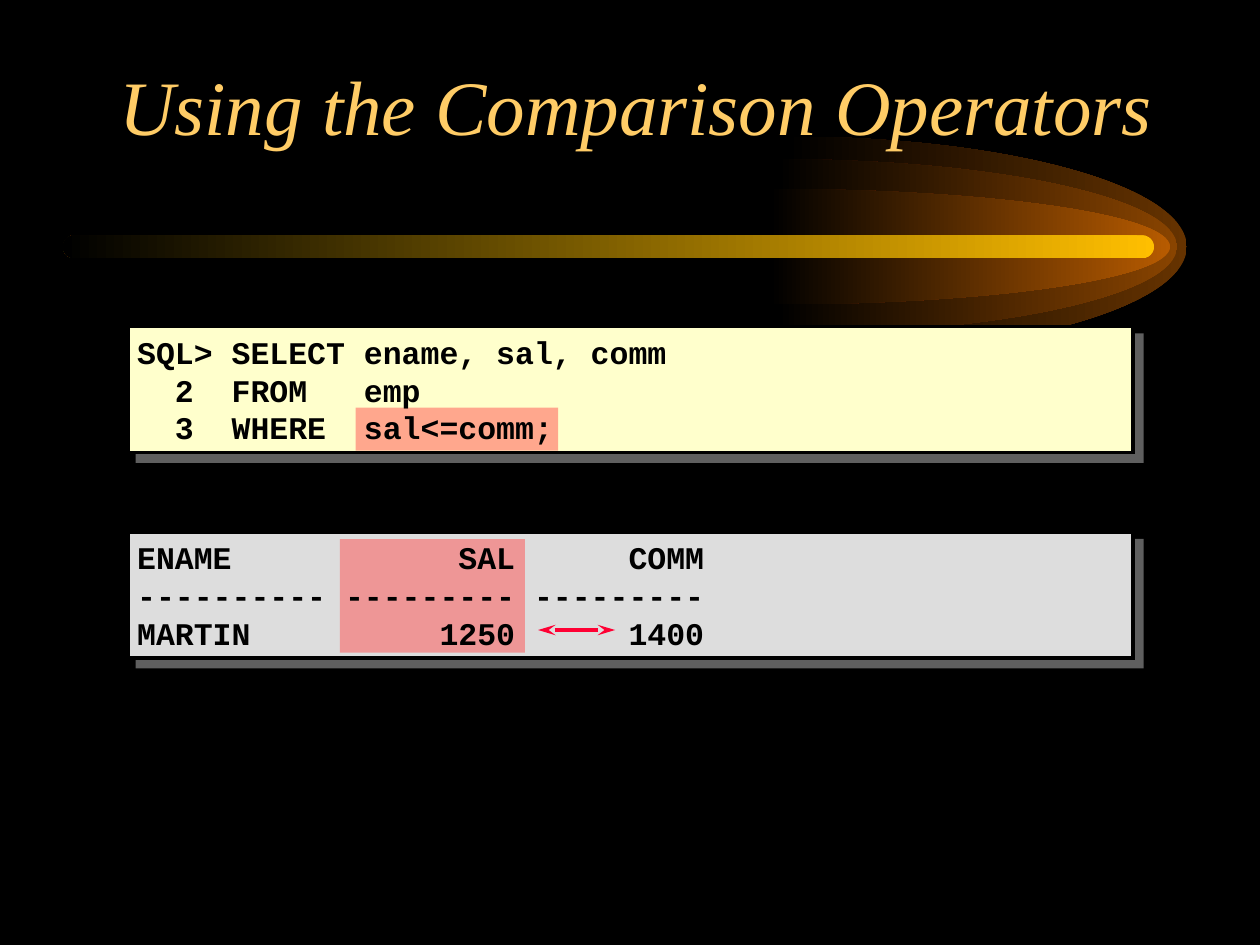
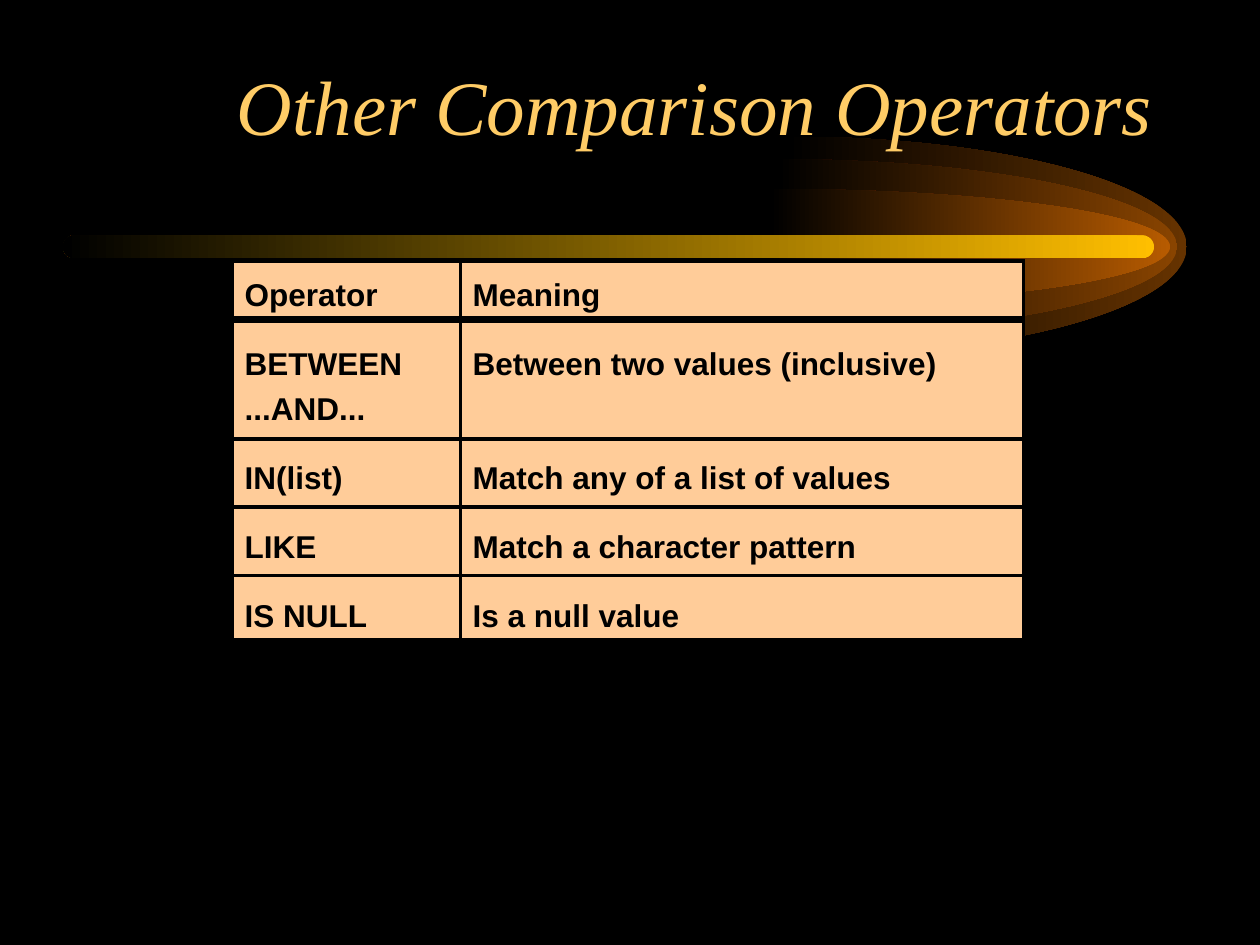
from dataclasses import dataclass

from lxml.etree import SubElement
from pptx import Presentation
from pptx.dml.color import RGBColor
from pptx.enum.shapes import MSO_CONNECTOR, MSO_SHAPE
from pptx.enum.text import MSO_ANCHOR, PP_ALIGN
from pptx.oxml.ns import qn
from pptx.util import Pt


@dataclass(frozen=True)
class Theme:
    """Colours and fonts shared by the slides."""
    black: str = "000000"
    gold: str = "FFBF00"
    glows: tuple = ("663300", "894400", "B75B00")
    query: str = "FFFFCC"
    result: str = "DDDDDD"
    shade: str = "808080"
    mark: str = "FF5050"
    arrow: str = "FF0033"
    peach: str = "FFCC99"
    title: tuple = ("Times New Roman", 44, "FFCC66", {"italic": True})
    code: tuple = ("Courier New", 18, "000000", {"bold": True})
    cell: tuple = ("Arial", 18, "000000", {"bold": True})


THEME = Theme()
BEND = 0.55
QUERY = """SQL> SELECT ename, sal, comm
  2  FROM   emp
  3  WHERE  sal<=comm;"""
RESULT = """ENAME            SAL      COMM
---------- --------- ---------
MARTIN          1250      1400"""
NAMES = """Operator
BETWEEN\v...AND...
IN(list)
LIKE
IS NULL"""
SENSE = """Meaning
Between two values (inclusive)
Match any of a list of values
Match a character pattern
Is a null value"""


def put(item, form):
    """Set each attribute named in form."""
    for name, value in form.items():
        setattr(item, name, value)


def node(up, tag, **attrs):
    """Add a drawing element below up."""
    return SubElement(up, qn("a:" + tag), attrs)


def paint(fill, hue):
    """Fill with one solid colour."""
    fill.solid()
    fill.fore_color.rgb = RGBColor.from_string(hue)


def fade(shape, hue):
    """Fade a shape from hue at the right to black at the left."""
    shape.shadow.inherit = False
    shape.line.fill.background()
    shape.fill.gradient()
    shape.fill.gradient_angle = 180
    for stop, tone in zip(shape.fill.gradient_stops, (hue, THEME.black)):
        stop.color.rgb = RGBColor.from_string(tone)


def write(frame, text, style, **form):
    """Write text in one style, with paragraph formats."""
    face, size, hue, looks = style
    frame.word_wrap = True
    frame.text = text
    for para in frame.paragraphs:
        put(para, form)
        put(para.font, {"name": face, "size": Pt(size), **looks})
        para.font.color.rgb = RGBColor.from_string(hue)


def label(slide, box, text, style, anchor, **form):
    """Place a text box."""
    frame = slide.shapes.add_textbox(*map(Pt, box)).text_frame
    frame.vertical_anchor = anchor
    write(frame, text, style, **form)


def block(slide, box, hue, rim=0):
    """Place a rectangle, with a black outline if rim is given."""
    shape = slide.shapes.add_shape(MSO_SHAPE.RECTANGLE, *map(Pt, box))
    shape.shadow.inherit = False
    paint(shape.fill, hue)
    if rim:
        paint(shape.line.fill, THEME.black)
        shape.line.width = Pt(rim)
        node(shape._element.spPr.find(qn("a:ln")), "miter", lim="800000")
    else:
        shape.line.fill.background()
    return shape


def rule(slide, start, end, hue, width):
    """Draw a straight line between two points."""
    line = slide.shapes.add_connector(
        MSO_CONNECTOR.STRAIGHT, *map(Pt, (*start, *end)))
    paint(line.line.fill, hue)
    line.line.width = Pt(width)
    node(line._element.spPr, "effectLst")
    return line


def glow(slide, box, hue):
    """Draw the right half of an ellipse that fills the box."""
    left, top, wide, high = box
    side, mid, foot = left + wide, top + high / 2, top + high
    reach, rise = left + wide * BEND, high / 2 * BEND
    dots = [(reach, top), (side, mid - rise), (side, mid),
            (side, mid + rise), (reach, foot), (left, foot)]
    build = slide.shapes.build_freeform(Pt(left), Pt(top))
    build.add_line_segments([(Pt(x), Pt(y)) for x, y in dots])
    shape = build.convert_to_shape()
    track = shape._element.spPr.find(".//" + qn("a:path"))
    steps = track.findall(qn("a:lnTo"))[:len(dots)]
    close = track.find(qn("a:close"))
    for first in (0, 3):
        curve = node(track, "cubicBezTo")
        for step in steps[first:first + 3]:
            curve.append(step[0])
            track.remove(step)
    track.append(close)
    fade(shape, hue)


def comet(slide, box):
    """Draw the glowing comet band."""
    left, top, wide, high = box
    tails = ((413.5, 0, 126), (408, 13, 100), (404, 30, 66))
    for (inset, drop, tall), hue in zip(tails, THEME.glows):
        glow(slide, (left + inset, top + drop, 228.7, tall), hue)
    bar = slide.shapes.add_shape(
        MSO_SHAPE.ROUNDED_RECTANGLE,
        *map(Pt, (left, top + high / 2 - 6.5, wide - 19, 13)))
    bar.adjustments[0] = 0.5
    fade(bar, THEME.gold)


def base(deck, title):
    """Start a slide with the black ground, comet and title."""
    slide = deck.slides.add_slide(deck.slide_layouts[6])
    paint(slide.background.fill, THEME.black)
    comet(slide, (36, 78, 642.5, 126))
    label(slide, (54, 30, 612, 90), title, THEME.title,
          MSO_ANCHOR.TOP, alignment=PP_ALIGN.RIGHT)
    return slide


def panel(slide, box, hue, text, mark):
    """Draw a shadowed code panel with one part marked."""
    left, top, wide, high = box
    shape = block(slide, box, hue, 2)
    cast = node(shape._element.spPr.find(qn("a:effectLst")), "outerShdw",
                blurRad="0", dist=str(Pt(7.1)), dir="2700000",
                algn="ctr", rotWithShape="0")
    node(node(cast, "srgbClr", val=THEME.shade), "alpha", val="75000")
    over, down, span, tall = mark
    tint = block(slide, (left + over, top + down, span, tall), THEME.mark)
    tone = tint._element.spPr.find(qn("a:solidFill"))[0]
    node(tone, "alpha", val="50000")
    label(slide, (left - 2.2, top - 1, wide + 2, high + 2), text,
          THEME.code, MSO_ANCHOR.MIDDLE)


def arrow(slide, box):
    """Draw a double arrow along the top of the box."""
    left, top, wide, _ = box
    line = rule(slide, (left, top), (left + wide, top), THEME.arrow, 2)
    rim = line._element.spPr.find(qn("a:ln"))
    for end in ("headEnd", "tailEnd"):
        node(rim, end, type="stealth", w="med", len="lg")


def column(slide, box, text):
    """Draw one column of the operator chart."""
    shape = block(slide, box, THEME.peach, 2)
    frame = shape.text_frame
    frame.vertical_anchor = MSO_ANCHOR.TOP
    write(frame, text, THEME.cell, line_spacing=1.2,
          alignment=PP_ALIGN.LEFT)
    for para in frame.paragraphs[1:]:
        para.space_before = Pt(13.5)
    return frame


def chart(slide, box):
    """Draw the operator chart as two columns with ruled rows."""
    left, top, wide, high = box
    column(slide, (left, top, 131.75, high), NAMES)
    frame = column(slide, (left + 130.3, top, wide - 130.3, high), SENSE)
    frame.paragraphs[2].space_before = Pt(39.5)
    for drop, width in ((33.5, 4), (101.5, 2), (140.5, 2), (179.5, 2)):
        rule(slide, (left, top + drop), (left + wide, top + drop),
             THEME.black, width)


def main():
    """Build and save both slides."""
    deck = Presentation()
    put(deck, {"slide_width": Pt(720), "slide_height": Pt(540)})
    slide = base(deck, "Using the Comparison Operators")
    panel(slide, (73.5, 186.5, 574, 72), THEME.query, QUERY,
          (129.75, 46.5, 115.75, 24.5))
    panel(slide, (73.5, 304, 574, 72), THEME.result, RESULT,
          (120.75, 4, 105.75, 65))
    arrow(slide, (307.5, 360, 44, 0))
    slide = base(deck, "Other Comparison Operators")
    chart(slide, (132.75, 149.25, 452, 216.5))
    deck.save("out.pptx")


if __name__ == "__main__":
    main()
